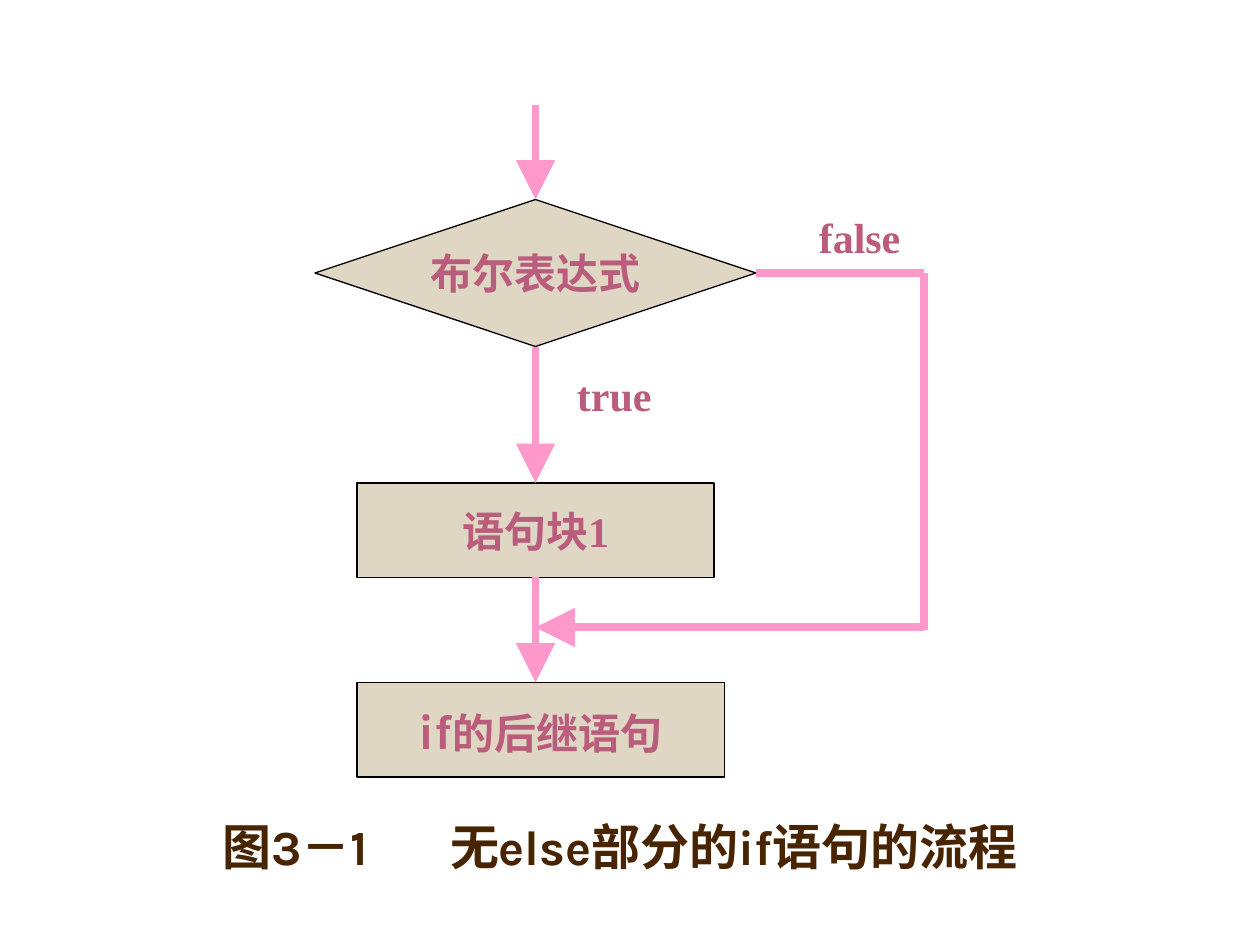
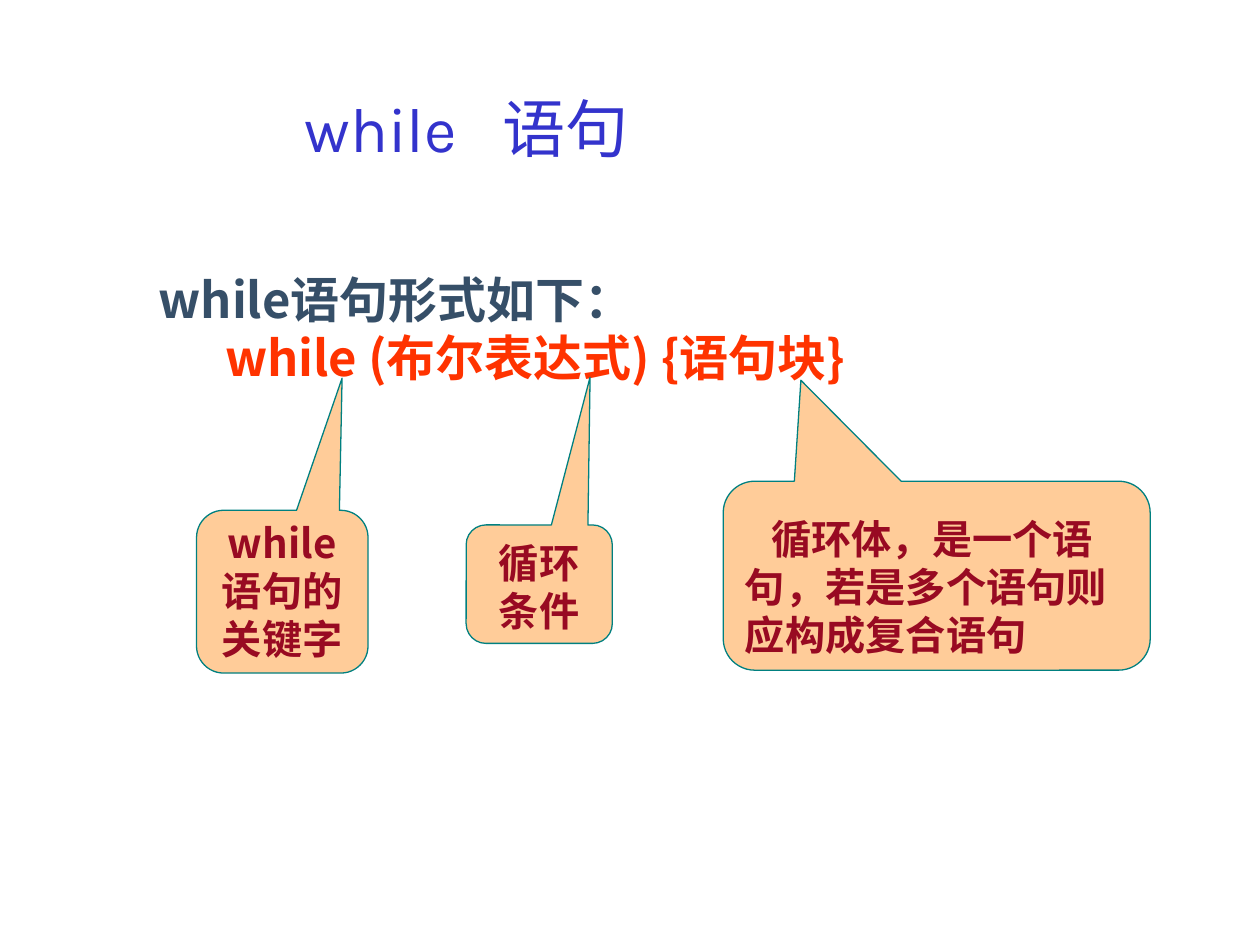
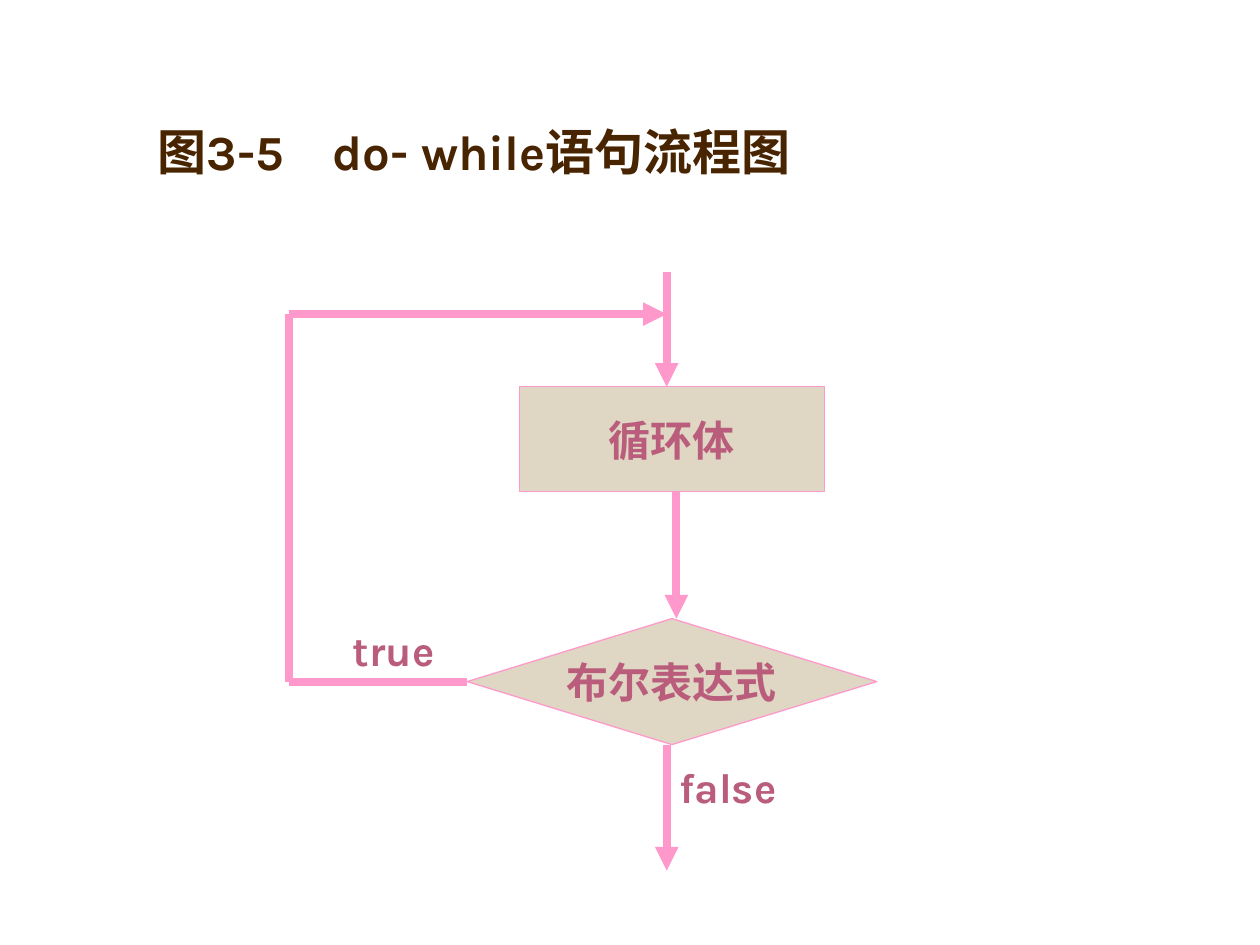
from dataclasses import dataclass
from typing import Optional

from lxml.etree import SubElement
from pptx import Presentation
from pptx.dml.color import RGBColor
from pptx.enum.shapes import MSO_CONNECTOR, MSO_SHAPE
from pptx.enum.text import MSO_ANCHOR, MSO_AUTO_SIZE, PP_ALIGN
from pptx.oxml.ns import qn
from pptx.util import Pt

SERIF = "Times New Roman"
SANS = "Karla"
CJK = "Noto Sans CJK SC"

CAPTION_BROWN = "482400"
HEADING_BLUE = "3333CC"
NODE_TEXT = "BA5C7B"
NODE_FILL = "DFD6C3"
FLOW_PINK = "FF99CC"
BLACK = "000000"
SYNTAX_SLATE = "364F68"
SYNTAX_RED = "FF3300"
CALLOUT_FILL = "FFCC99"
CALLOUT_LINE = "008080"
CALLOUT_TEXT = "980A22"

TITLE_ONLY = 5
LINE_PITCH = 1.19
TOP, LEFT, BOTTOM, RIGHT = 0, 1, 3, 3
BOTTOM = 2


@dataclass
class Box:
    left: float
    top: float
    width: float
    height: float

    def lengths(self) -> tuple:
        return Pt(self.left), Pt(self.top), Pt(self.width), Pt(self.height)


@dataclass
class Words:
    text: str
    size: float = 24
    font: str = SERIF
    color: str = NODE_TEXT
    bold: bool = True


@dataclass
class Node:
    kind: MSO_SHAPE
    box: Box
    words: list


@dataclass
class Flow:
    """A straight line; begin and end are (node index, side) where it is joined."""
    x1: float
    y1: float
    x2: float
    y2: float
    arrow: bool = True
    begin: Optional[tuple] = None
    end: Optional[tuple] = None


@dataclass
class Label:
    box: Box
    words: Words


@dataclass
class Callout:
    box: Box
    tip: tuple
    text: str
    align: PP_ALIGN = PP_ALIGN.CENTER
    first_indent: float = 0
    right_inset: float = 7.2


def rgb(color: str) -> RGBColor:
    return RGBColor.from_string(color)


def add_words(paragraph, words: Words) -> None:
    run = paragraph.add_run()
    run.text = words.text
    run.font.size = Pt(words.size)
    run.font.bold = words.bold
    run.font.name = words.font
    run.font.color.rgb = rgb(words.color)
    SubElement(run.font._element, qn("a:ea")).set("typeface", CJK)


def set_insets(frame, left=7.2, top=3.6, right=7.2, bottom=3.6) -> None:
    frame.margin_left, frame.margin_top = Pt(left), Pt(top)
    frame.margin_right, frame.margin_bottom = Pt(right), Pt(bottom)


def add_title_slide(deck, box: Box, words: Words, tab: float,
                    left_inset: float = 7.2, bottom_inset: float = 3.6):
    """Add a slide whose title has one tab stop between its two parts."""
    slide = deck.slides.add_slide(deck.slide_layouts[TITLE_ONLY])
    title = slide.shapes.title
    title.left, title.top, title.width, title.height = box.lengths()
    frame = title.text_frame
    frame.auto_size = MSO_AUTO_SIZE.NONE
    frame.word_wrap = True
    frame.vertical_anchor = MSO_ANCHOR.BOTTOM
    set_insets(frame, left=left_inset, bottom=bottom_inset)
    paragraph = frame.paragraphs[0]
    stops = SubElement(paragraph._p.get_or_add_pPr(), qn("a:tabLst"))
    stop = SubElement(stops, qn("a:tab"))
    stop.set("pos", str(Pt(tab)))
    stop.set("algn", "l")
    paragraph.alignment = PP_ALIGN.LEFT
    add_words(paragraph, words)
    return slide


def add_filled_shape(slide, kind: MSO_SHAPE, box: Box, fill: str, line: str):
    shape = slide.shapes.add_shape(kind, *box.lengths())
    shape.shadow.inherit = False
    shape.fill.solid()
    shape.fill.fore_color.rgb = rgb(fill)
    shape.line.color.rgb = rgb(line)
    shape.line.width = Pt(0.75)
    set_insets(shape.text_frame)
    return shape


def add_node(slide, node: Node, outline: str):
    shape = add_filled_shape(slide, node.kind, node.box, NODE_FILL, outline)
    frame = shape.text_frame
    frame.word_wrap = False
    frame.vertical_anchor = MSO_ANCHOR.MIDDLE
    paragraph = frame.paragraphs[0]
    paragraph.alignment = PP_ALIGN.CENTER
    for words in node.words:
        add_words(paragraph, words)
    return shape


def add_flow(slide, flow: Flow, nodes: list, head_size: str) -> None:
    connector = slide.shapes.add_connector(
        MSO_CONNECTOR.STRAIGHT, Pt(flow.x1), Pt(flow.y1), Pt(flow.x2), Pt(flow.y2))
    if flow.begin:
        connector.begin_connect(nodes[flow.begin[0]], flow.begin[1])
    if flow.end:
        connector.end_connect(nodes[flow.end[0]], flow.end[1])
    connector.line.color.rgb = rgb(FLOW_PINK)
    connector.line.width = Pt(4.5)
    if flow.arrow:
        head = SubElement(connector.line._get_or_add_ln(), qn("a:tailEnd"))
        head.set("type", "triangle")
        head.set("w", head_size)
        head.set("len", head_size)
    SubElement(connector._element.spPr, qn("a:effectLst"))


def add_label(slide, label: Label) -> None:
    frame = slide.shapes.add_textbox(*label.box.lengths()).text_frame
    frame.word_wrap = False
    set_insets(frame)
    add_words(frame.paragraphs[0], label.words)


def draw_flowchart(slide, nodes: list, flows: list, labels: list,
                   outline: str, head_size: str) -> None:
    shapes = [add_node(slide, node, outline) for node in nodes]
    for flow in flows:
        add_flow(slide, flow, shapes, head_size)
    for label in labels:
        add_label(slide, label)


def add_callout(slide, callout: Callout) -> None:
    shape = add_filled_shape(slide, MSO_SHAPE.ROUNDED_RECTANGULAR_CALLOUT,
                             callout.box, CALLOUT_FILL, CALLOUT_LINE)
    for index, value in enumerate((*callout.tip, 0.167)):
        shape.adjustments[index] = value
    frame = shape.text_frame
    frame.word_wrap = True
    frame.vertical_anchor = MSO_ANCHOR.BOTTOM
    set_insets(frame, right=callout.right_inset, bottom=1.6)
    paragraph = frame.paragraphs[0]
    paragraph.alignment = callout.align
    paragraph.line_spacing = Pt(23 * LINE_PITCH)
    paragraph._p.get_or_add_pPr().set("indent", str(Pt(callout.first_indent)))
    add_words(paragraph, Words(callout.text, 23, CJK, CALLOUT_TEXT))


def build_if_slide(deck) -> None:
    slide = add_title_slide(
        deck, Box(120, 463, 594, 41),
        Words("图3－1\t无else部分的if语句的流程", 28, SANS, CAPTION_BROWN), tab=130)
    nodes = [
        Node(MSO_SHAPE.FLOWCHART_DECISION, Box(180, 114, 252, 84), [Words("布尔表达式")]),
        Node(MSO_SHAPE.RECTANGLE, Box(204, 276, 204, 54), [Words("语句块1")]),
        Node(MSO_SHAPE.RECTANGLE, Box(204, 390, 210, 54),
             [Words("if", 28, SANS), Words("的后继语句")]),
    ]
    main_x, bypass_x = 306, 528
    flows = [
        Flow(main_x, 60, main_x, 114, end=(0, TOP)),
        Flow(main_x, 198, main_x, 276, begin=(0, BOTTOM), end=(1, TOP)),
        Flow(main_x, 330, main_x, 390, begin=(1, BOTTOM)),
        Flow(432, 156, bypass_x, 156, arrow=False, begin=(0, RIGHT)),
        Flow(bypass_x, 156, bypass_x, 360, arrow=False),
        Flow(bypass_x, 358.5, main_x, 358.5),
    ]
    labels = [
        Label(Box(460.8, 117.4, 61.2, 36), Words("false")),
        Label(Box(322.6, 207.4, 57, 36), Words("true")),
    ]
    draw_flowchart(slide, nodes, flows, labels, BLACK, "lg")


def build_while_slide(deck) -> None:
    slide = add_title_slide(
        deck, Box(34, 35.3, 612, 59.8),
        Words("while\t语句", 36, SANS, HEADING_BLUE, bold=False),
        tab=113, left_inset=140, bottom_inset=1)
    syntax = slide.shapes.add_textbox(*Box(83.5, 147.6, 687, 322.6).lengths()).text_frame
    syntax.word_wrap = True
    set_insets(syntax, top=6.5)
    intro, form = syntax.paragraphs[0], syntax.add_paragraph()
    form._p.get_or_add_pPr().set("marL", str(Pt(38)))
    for paragraph, text, color in (
            (intro, "while语句形式如下：", SYNTAX_SLATE),
            (form, "while (布尔表达式) {语句块}", SYNTAX_RED)):
        paragraph.line_spacing = Pt(28 * LINE_PITCH)
        add_words(paragraph, Words(text, 28, CJK, color))
    for callout in (
            Callout(Box(112.3, 291.6, 98, 93), (0.349, -1.312), "while语句的关键字"),
            Callout(Box(266.4, 300, 83.5, 67.7), (0.348, -1.747), "循环条件"),
            Callout(Box(413.3, 275, 244, 108), (-0.318, -1.034),
                    "循环体，是一个语句，若是多个语句则应构成复合语句",
                    PP_ALIGN.LEFT, first_indent=15, right_inset=4.3)):
        add_callout(slide, callout)


def build_do_while_slide(deck) -> None:
    slide = add_title_slide(
        deck, Box(83, 65.5, 426, 41),
        Words("图3-5\tdo- while语句流程图", 28, SANS, CAPTION_BROWN), tab=100)
    nodes = [
        Node(MSO_SHAPE.FLOWCHART_DECISION, Box(267, 353.5, 234, 72), [Words("布尔表达式")]),
        Node(MSO_SHAPE.RECTANGLE, Box(297, 221, 174, 60), [Words("循环体")]),
    ]
    main_x, loop_x, loop_top, loop_bottom = 381, 165, 179.5, 389.5
    flows = [
        Flow(main_x, 155.5, main_x, 221),
        Flow(386.5, 281, 386.5, 353.5),
        Flow(267, loop_bottom, loop_x, loop_bottom, arrow=False, begin=(0, LEFT)),
        Flow(loop_x, loop_top, loop_x, loop_bottom, arrow=False),
        Flow(loop_x, loop_top, main_x, loop_top),
        Flow(main_x, 425.5, main_x, 497.5),
    ]
    labels = [
        Label(Box(194.5, 353.5, 65.5, 36), Words("true", font=SANS)),
        Label(Box(381, 431.5, 71, 36), Words("false", font=SANS)),
    ]
    draw_flowchart(slide, nodes, flows, labels, FLOW_PINK, "med")


def main() -> None:
    deck = Presentation()
    deck.slide_width, deck.slide_height = Pt(720), Pt(540)
    build_if_slide(deck)
    build_while_slide(deck)
    build_do_while_slide(deck)
    deck.save("out.pptx")


if __name__ == "__main__":
    main()
